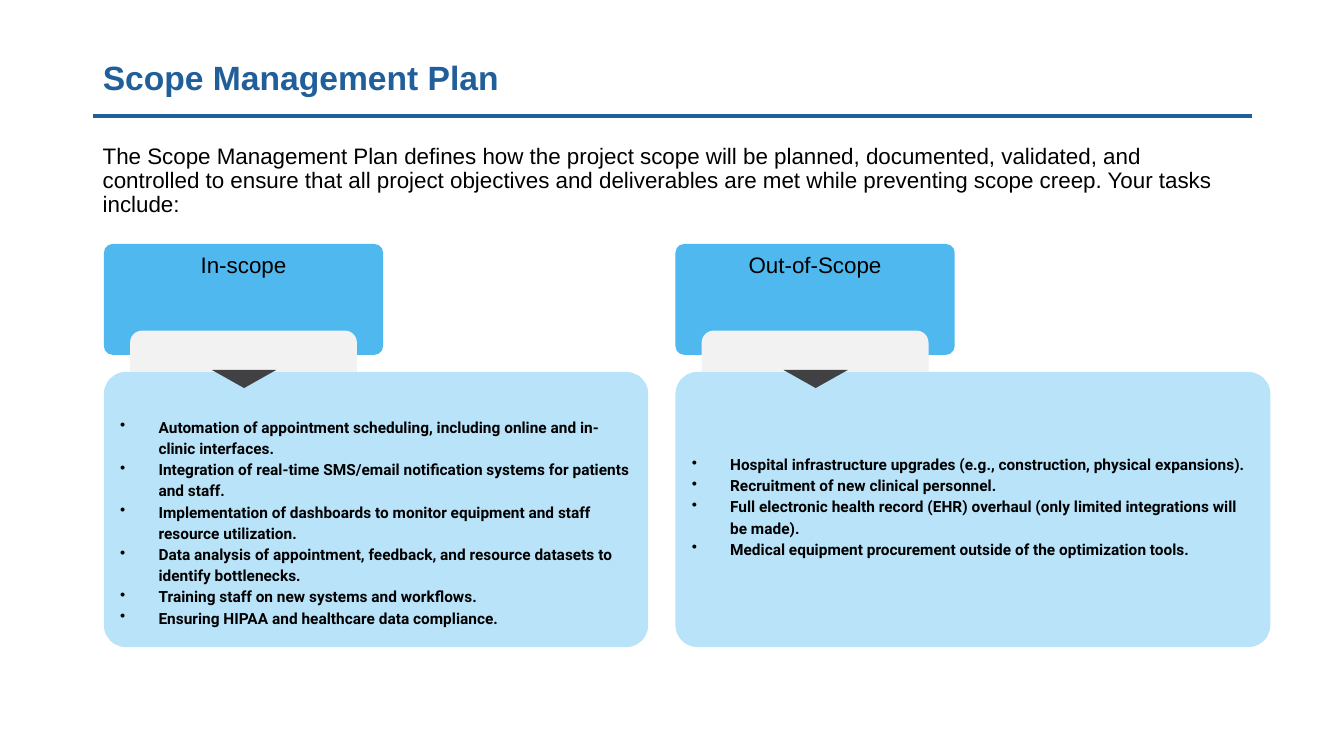
from lxml import etree
from pptx import Presentation
from pptx.dml.color import RGBColor
from pptx.enum.shapes import MSO_CONNECTOR, MSO_SHAPE
from pptx.enum.text import MSO_ANCHOR, PP_ALIGN
from pptx.oxml.ns import qn
from pptx.util import Inches, Pt

WIDE, HIGH = Inches(13.33), Inches(7.5)
ROUND = MSO_SHAPE.ROUNDED_RECTANGLE
TAB = MSO_SHAPE.ROUND_2_SAME_RECTANGLE
WEDGE = MSO_SHAPE.FLOWCHART_MERGE
LINE = MSO_CONNECTOR.STRAIGHT
TOP, MIDDLE = MSO_ANCHOR.TOP, MSO_ANCHOR.MIDDLE
LEFT, CENTER = PP_ALIGN.LEFT, PP_ALIGN.CENTER

NAVY, BLUE, PALE = "215F9A", "4EB8EF", "B8E3F9"
GREY, DARK, BLACK = "F2F2F2", "414042", "000000"
EDGE, SPAN = 6.9, 86.27

INTRO = (
    "The Scope Management Plan defines how the project scope will be planned, "
    "documented, validated, and controlled to ensure that all project objectives "
    "and deliverables are met while preventing scope creep. Your tasks include:"
)
IN_SCOPE = [
    "Automation of appointment scheduling, including online and in-clinic interfaces.",
    "Integration of real-time SMS/email notification systems for patients and staff.",
    "Implementation of dashboards to monitor equipment and staff resource utilization.",
    "Data analysis of appointment, feedback, and resource datasets to identify bottlenecks.",
    "Training staff on new systems and workflows.",
    "Ensuring HIPAA and healthcare data compliance.",
]
OUT_SCOPE = [
    "Hospital infrastructure upgrades (e.g., construction, physical expansions).",
    "Recruitment of new clinical personnel.",
    "Full electronic health record (EHR) overhaul (only limited integrations will be made).",
    "Medical equipment procurement outside of the optimization tools.",
]


def color(code):
    """Turn a hex string into a colour."""
    return RGBColor.from_string(code)


def place(x, y, w, h):
    """Turn percentages of the slide into left, top, width and height."""
    return [int(side * part / 100) for side, part in zip((WIDE, HIGH) * 2, (x, y, w, h))]


def style(frame, size, tint=BLACK, face="Arial", bold=False, align=LEFT, anchor=TOP, gap=1.0):
    """Format all the text of a frame."""
    frame.word_wrap = True
    frame.vertical_anchor = anchor
    for para in frame.paragraphs:
        para.alignment = align
        para.line_spacing = gap
        for run in para.runs:
            font = run.font
            font.size, font.name, font.bold = Pt(size), face, bold
            font.color.rgb = color(tint)


def block(slide, kind, box, fill, bend=None):
    """Add a plain filled shape."""
    shape = slide.shapes.add_shape(kind, *place(*box))
    shape.shadow.inherit = False
    shape.fill.solid()
    shape.fill.fore_color.rgb = color(fill)
    shape.line.fill.background()
    if bend is not None:
        shape.adjustments[0] = bend
    return shape


def bullet(para):
    """Give a paragraph a hanging bullet."""
    props = para._p.get_or_add_pPr()
    props.set("marL", str(Inches(0.38)))
    props.set("indent", str(-Inches(0.38)))
    etree.SubElement(props, qn("a:buChar")).set("char", "•")


def card(slide, x, wide, head, items, above, below):
    """Add a heading, its tab and wedge, and the list below."""
    body = block(slide, ROUND, (x, 49.2, wide, 36.4), PALE, 0.08)
    frame = body.text_frame
    frame.text = "\n".join(items)
    frame.margin_top, frame.margin_bottom = Inches(above), Inches(below)
    style(frame, 11, face="Roboto", bold=True, anchor=MIDDLE, gap=1.15)
    for para in frame.paragraphs:
        bullet(para)
    label = block(slide, ROUND, (x, 32.27, 20.78, 14.67), BLUE, 0.08)
    label.text_frame.text = head
    style(label.text_frame, 16, align=CENTER)
    block(slide, TAB, (x + 1.95, 43.73, 16.88, 5.47), GREY, 0.29)
    block(slide, WEDGE, (x + 8.03, 48.93, 4.8, 2.4), DARK)


def title(slide, text):
    """Set the slide title and the rule under it."""
    head = slide.shapes.title
    head.left, head.top, head.width, head.height = place(EDGE, 5.33, SPAN, 10.53)
    head.text_frame.text = text
    style(head.text_frame, 24, NAVY, bold=True, anchor=MIDDLE, gap=0.9)
    x, y, wide, _ = place(EDGE, 15.33, SPAN, 0)
    rule = slide.shapes.add_connector(LINE, x, y, x + wide, y)
    rule.line.color.rgb = color(NAVY)
    rule.line.width = Pt(3)
    etree.SubElement(rule._element.spPr, qn("a:effectLst"))


def intro(slide, text):
    """Add the opening paragraph."""
    frame = slide.shapes.add_textbox(*place(EDGE, 18.53, SPAN, 11.07)).text_frame
    frame.text = text
    style(frame, 16, gap=0.9)


def main():
    """Build and save the slide."""
    deck = Presentation()
    deck.slide_width, deck.slide_height = WIDE, HIGH
    slide = deck.slides.add_slide(deck.slide_layouts[5])
    title(slide, "Scope Management Plan")
    intro(slide, INTRO)
    card(slide, 7.73, 40.5, "In-scope", IN_SCOPE, 0.28, 0.05)
    card(slide, 50.26, 44.26, "Out-of-Scope", OUT_SCOPE, 0.05, 0.13)
    deck.save("out.pptx")


if __name__ == "__main__":
    main()
